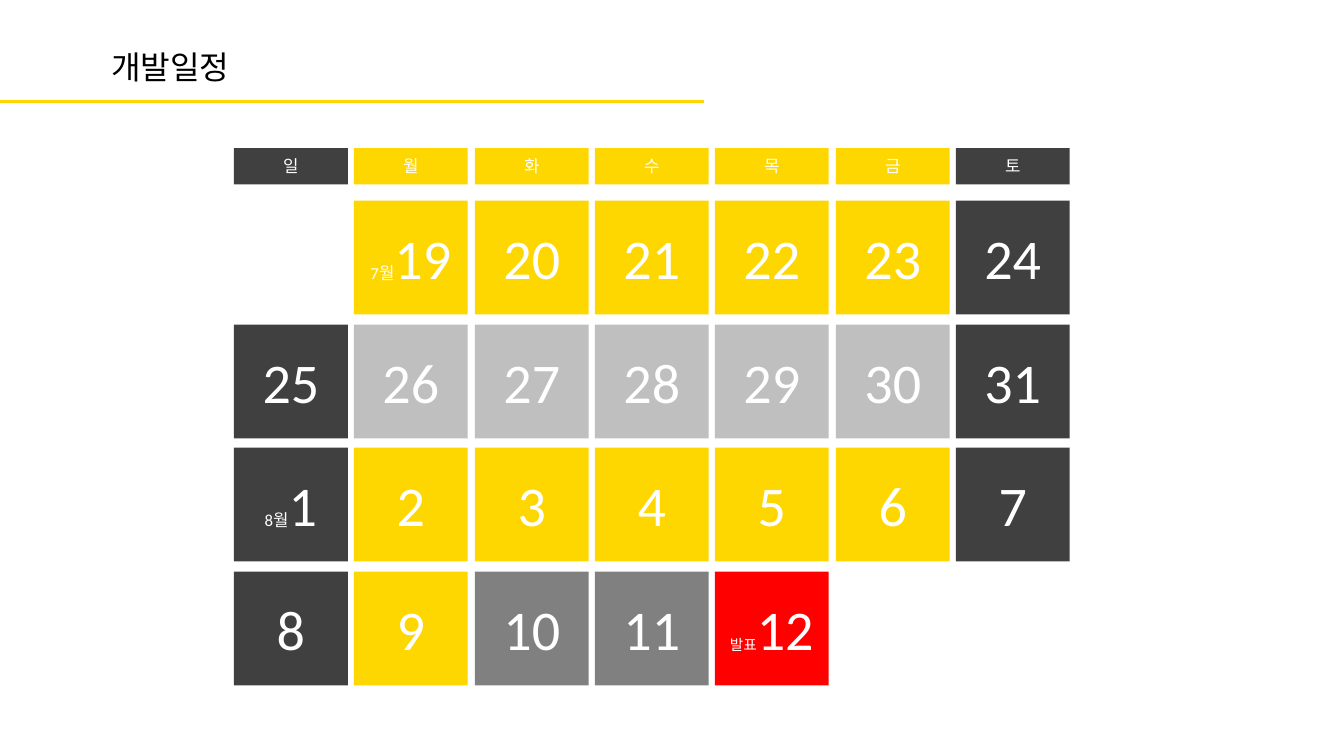
from lxml.etree import SubElement
from pptx import Presentation
from pptx.dml.color import RGBColor
from pptx.enum.shapes import MSO_CONNECTOR, MSO_SHAPE
from pptx.enum.text import MSO_ANCHOR, MSO_AUTO_SIZE, PP_ALIGN
from pptx.oxml.ns import qn
from pptx.util import Emu, Pt

PX = 9144  # 100 px to the inch
FONT = "Calibri"
COLORS = {
    "black": "000000",
    "white": "FFFFFF",
    "gold": "FFD700",
    "dark": "404040",
    "light": "BFBFBF",
    "grey": "808080",
    "red": "FF0000",
}

# Calendar grid
LEFT, HEADER_TOP, DAYS_TOP = 232, 147, 199
CELL, HEADER_HEIGHT = 113, 36
COLUMN_STEP, ROW_STEP = 119.33, 122.67
WEEKDAYS = "일월화수목금토"
FIRST_DAY, DAY_COUNT, JULY_DAYS = 19, 25, 31
FIRST_COLUMN = 1
LABELS = {0: ("7월", 12), 13: ("8월", 12), 24: ("발표", 10.5)}
SPECIAL_COLORS = {
    **dict.fromkeys(range(7, 12), "light"),
    22: "grey",
    23: "grey",
    24: "red",
}


def px(length):
    return Emu(length * PX)


def color(name):
    return RGBColor.from_string(COLORS[name])


class SlideBuilder:
    def __init__(self, deck):
        self.page = deck.slides.add_slide(deck.slide_layouts[5])

    def style(self, para, size, color_name):
        para.alignment = PP_ALIGN.CENTER
        para.font.name = FONT
        para.font.size = Pt(size)
        para.font.color.rgb = color(color_name)

    def title(self, text, left, top, width, height, size):
        box = self.page.shapes.title
        box.left, box.top, box.width, box.height = map(px, (left, top, width, height))
        frame = box.text_frame
        frame.text = text
        frame.auto_size = MSO_AUTO_SIZE.NONE
        frame.vertical_anchor = MSO_ANCHOR.MIDDLE
        self.style(frame.paragraphs[0], size, "black")

    def line(self, left, top, right, color_name, width):
        rule = self.page.shapes.add_connector(
            MSO_CONNECTOR.STRAIGHT, px(left), px(top), px(right), px(top))
        rule.line.color.rgb = color(color_name)
        rule.line.width = Pt(width)
        SubElement(rule._element.spPr, qn("a:effectLst"))

    def cell(self, text, left, top, height, fill, size, label=None):
        box = self.page.shapes.add_shape(
            MSO_SHAPE.RECTANGLE, px(left), px(top), px(CELL), px(height))
        box.shadow.inherit = False
        box.fill.solid()
        box.fill.fore_color.rgb = color(fill)
        box.line.fill.background()
        box.text_frame.vertical_anchor = MSO_ANCHOR.MIDDLE
        para = box.text_frame.paragraphs[0]
        self.style(para, size, "white")
        if label:
            span = para.add_run()
            span.text, span.font.size = label[0], Pt(label[1])
        para.add_run().text = text


def column_left(column):
    return LEFT + round(column * COLUMN_STEP)


def weekday_color(column):
    return "dark" if column in (0, 6) else "gold"


def main():
    deck = Presentation()
    deck.slide_width, deck.slide_height = px(1333), px(750)
    builder = SlideBuilder(deck)

    # Heading
    builder.title("개발일정", 77, 50, 184, 32, 23)
    builder.line(-7, 101, 698, "gold", 2.25)

    # Weekday header
    for column, weekday in enumerate(WEEKDAYS):
        builder.cell(weekday, column_left(column), HEADER_TOP, HEADER_HEIGHT,
                     weekday_color(column), 12)

    # Days
    for index in range(DAY_COUNT):
        row, column = divmod(index + FIRST_COLUMN, 7)
        day = (FIRST_DAY + index - 1) % JULY_DAYS + 1
        fill = SPECIAL_COLORS.get(index, weekday_color(column))
        builder.cell(str(day), column_left(column), DAYS_TOP + round(row * ROW_STEP),
                     CELL, fill, 40, LABELS.get(index))

    deck.save("out.pptx")


if __name__ == "__main__":
    main()
